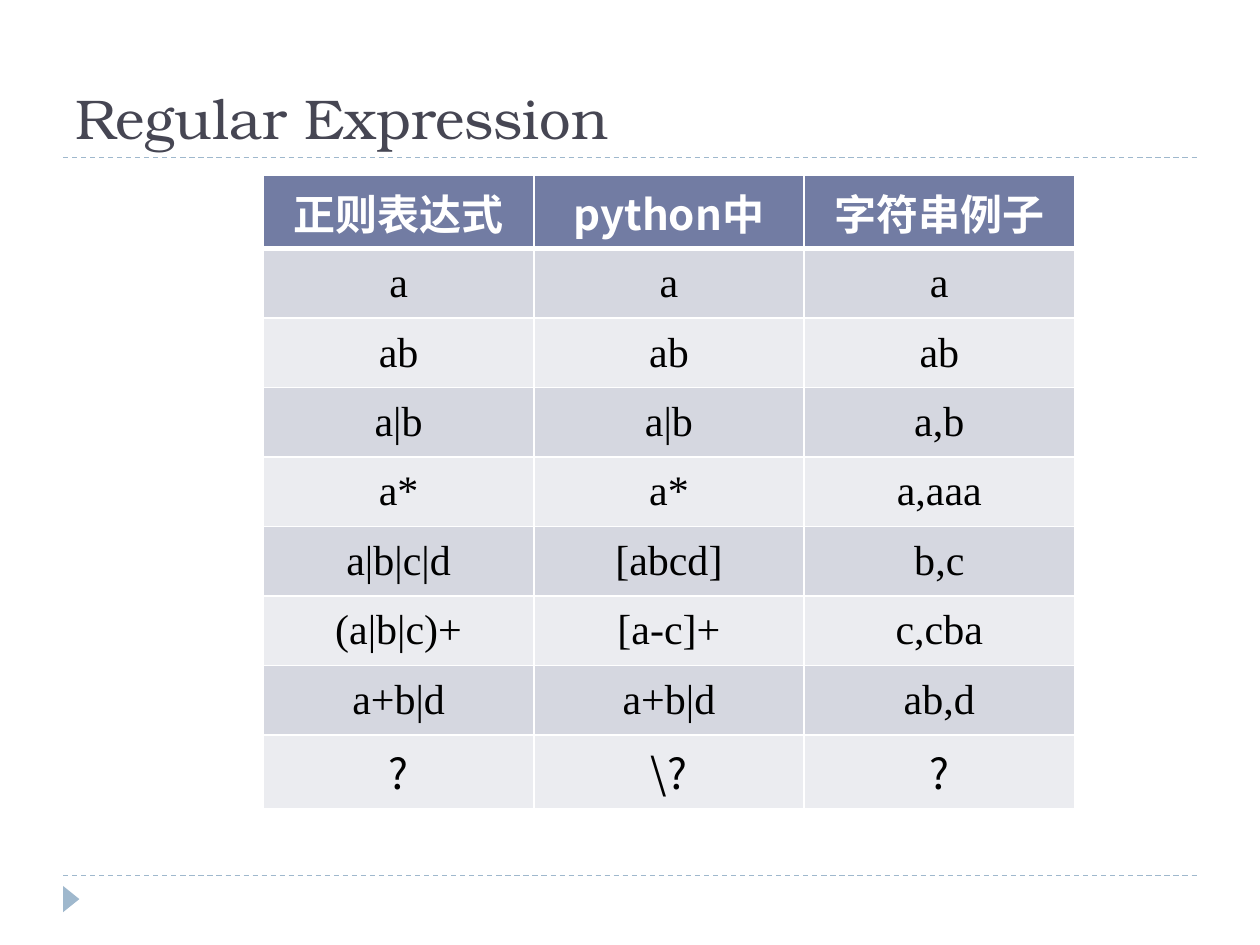
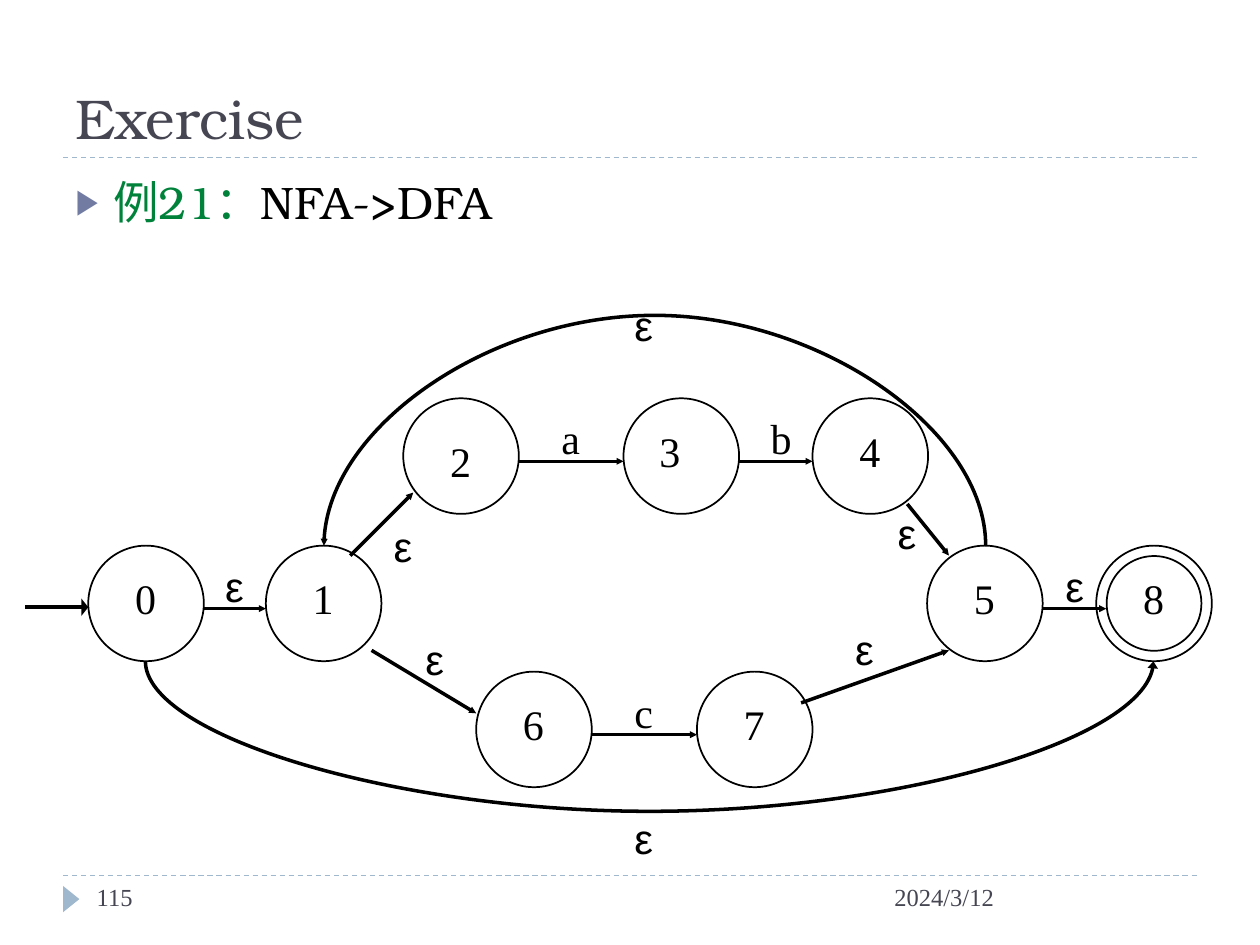
from dataclasses import dataclass
from itertools import product
from lxml.etree import SubElement
from pptx import Presentation
from pptx.dml.color import RGBColor
from pptx.enum.dml import MSO_LINE
from pptx.enum.shapes import MSO_CONNECTOR, MSO_SHAPE
from pptx.enum.text import MSO_ANCHOR, MSO_AUTO_SIZE, PP_ALIGN
from pptx.oxml.ns import qn
from pptx.util import Cm, Pt

BLACK = RGBColor(0x00, 0x00, 0x00)
WHITE = RGBColor(0xFF, 0xFF, 0xFF)
INK = RGBColor(0x46, 0x46, 0x53)
SKY = RGBColor(0x9F, 0xB8, 0xCD)
SLATE = RGBColor(0x72, 0x7C, 0xA3)
GREEN = RGBColor(0x00, 0x82, 0x3B)
BANDS = (RGBColor(0xEB, 0xEC, 0xF0), RGBColor(0xD5, 0xD7, 0xE0))

SERIF, ROMAN, SANS, HAN = "TeX Gyre Bonum", "Times New Roman", "Arial", "Noto Sans CJK SC"
TITLE = {"name": SERIF, "size": Pt(32)}
LIST = {"name": SERIF, "size": Pt(26)}
FOOT = {"name": ROMAN, "size": Pt(14)}
LABEL = {"name": ROMAN, "size": Pt(24), "bold": False}
GREEK = {**LABEL, "name": SANS}
HEAD = {"name": HAN, "size": Pt(24), "bold": True}
SIGN = {**HEAD, "bold": False}

ROWS = (
    ("正则表达式", "python中", "字符串例子"),
    ("a", "a", "a"),
    ("ab", "ab", "ab"),
    ("a|b", "a|b", "a,b"),
    ("a*", "a*", "a,aaa"),
    ("a|b|c|d", "[abcd]", "b,c"),
    ("(a|b|c)+", "[a-c]+", "c,cba"),
    ("a+b|d", "a+b|d", "ab,d"),
    ("?", "\\?", "?"),
)


@dataclass(frozen=True)
class State:
    name: str
    left: float
    top: float
    dx: float = 0.42
    dy: float = 0.42


@dataclass(frozen=True)
class Edge:
    start: tuple[float, float]
    end: tuple[float, float]
    wide: str = "sm"


@dataclass(frozen=True)
class Arc:
    mid: float
    level: float
    span: float
    flips: tuple[str, ...]
    bend: int
    wide: str


@dataclass(frozen=True)
class Mark:
    text: str
    left: float
    top: float


DIAM = 2.33
STATES = (
    State("0", 1.78, 11), State("1", 5.36, 11),
    State("2", 8.13, 8.03, dy=0.63), State("3", 12.57, 8.03, dx=0.2),
    State("4", 16.38, 8.03), State("5", 18.69, 11),
    State("6", 9.6, 13.54), State("7", 14.05, 13.54), State("8", 22.1, 11),
)
EDGES = (
    Edge((0.51, 12.24), (1.78, 12.24), "lg"),
    Edge((4.09, 12.27), (5.36, 12.27)),
    Edge((7.06, 11.2), (8.33, 9.93)),
    Edge((10.44, 9.3), (12.57, 9.3)),
    Edge((14.88, 9.3), (16.38, 9.3)),
    Edge((18.29, 10.16), (19.13, 11.2)),
    Edge((7.49, 13.11), (9.6, 14.38)),
    Edge((11.94, 14.81), (14.05, 14.81)),
    Edge((16.15, 14.17), (19.13, 13.11)),
    Edge((21.03, 12.27), (22.3, 12.27)),
)
ARCS = (
    Arc(13.09, 13.33, 20.32, ("flipH",), 75700000, "med"),
    Arc(13.2, 11, 13.34, ("flipH", "flipV"), -116000000, "sm"),
)
MARKS = (
    Mark("ε", 4.09, 11.18), Mark("ε", 7.49, 10.36), Mark("a", 10.87, 8.2),
    Mark("b", 15.11, 8.2), Mark("ε", 17.65, 10.11), Mark("ε", 8.13, 12.65),
    Mark("c", 12.34, 13.72), Mark("ε", 16.79, 12.45), Mark("ε", 21.03, 11.18),
    Mark("ε", 12.34, 5.92), Mark("ε", 12.34, 16.26),
)


def style(font, look: dict, tint: RGBColor) -> None:
    for key, value in look.items():
        setattr(font, key, value)
    font.color.rgb = tint


def place(shape, left: float, top: float, width: float, height: float) -> None:
    box = {"left": left, "top": top, "width": width, "height": height}
    for key, value in box.items():
        setattr(shape, key, Cm(value))


def write(slide, text: str, box: tuple, look: dict, tint=BLACK, align=PP_ALIGN.CENTER) -> None:
    frame = slide.shapes.add_textbox(*map(Cm, box)).text_frame
    frame.word_wrap = True
    para = frame.paragraphs[0]
    para.text, para.alignment = text, align
    style(para.font, look, tint)


def link(slide, start: tuple, end: tuple, tint=BLACK, width=2.0, kind=MSO_CONNECTOR.STRAIGHT):
    line = slide.shapes.add_connector(kind, *map(Cm, (*start, *end)))
    line.line.color.rgb, line.line.width = tint, Pt(width)
    SubElement(line._element.spPr, qn("a:effectLst"))
    return line


def point(line, wide: str) -> None:
    SubElement(line.line._get_or_add_ln(), qn("a:tailEnd"), type="triangle", w=wide, len="sm")


def ring(slide, left: float, top: float, size: float) -> None:
    oval = slide.shapes.add_shape(MSO_SHAPE.OVAL, *map(Cm, (left, top, size, size)))
    oval.shadow.inherit = False
    oval.fill.background()
    oval.line.color.rgb, oval.line.width = BLACK, Pt(1)


def curve(slide, arc: Arc) -> None:
    line = link(slide, (0, 0), (1, 1), kind=MSO_CONNECTOR.CURVE)
    place(line, arc.mid, arc.level - arc.span / 2, 0, arc.span)
    line.width = 1588
    props = line._element.spPr
    frame = props.find(qn("a:xfrm"))
    frame.set("rot", "16200000")
    for flip in arc.flips:
        frame.set(flip, "1")
    guides = props.find(qn("a:prstGeom")).find(qn("a:avLst"))
    SubElement(guides, qn("a:gd"), name="adj1", fmla=f"val {arc.bend}")
    point(line, arc.wide)


def start(deck, layout: int, text: str):
    slide = deck.slides.add_slide(deck.slide_layouts[layout])
    for level in (17.65, 3.18):
        link(slide, (1.27, level), (24.13, level), SKY, 0.75).line.dash_style = MSO_LINE.DASH
    wedge = slide.shapes.add_shape(MSO_SHAPE.ISOSCELES_TRIANGLE, *map(Cm, (1.17, 17.96, 0.53, 0.33)))
    wedge.rotation = 90
    wedge.shadow.inherit = False
    wedge.fill.solid()
    wedge.fill.fore_color.rgb = SKY
    wedge.line.fill.background()
    title = slide.shapes.title
    place(title, 1.27, 0.43, 22.86, 2.74)
    frame = title.text_frame
    frame.text = text
    frame.auto_size, frame.vertical_anchor = MSO_AUTO_SIZE.NONE, MSO_ANCHOR.BOTTOM
    frame.paragraphs[0].alignment = PP_ALIGN.LEFT
    style(frame.paragraphs[0].font, TITLE, INK)
    return slide


def edge(cell, side: str, width: float) -> None:
    line = SubElement(cell._tc.get_or_add_tcPr(), qn(f"a:ln{side}"), w=str(Pt(width)))
    SubElement(SubElement(line, qn("a:solidFill")), qn("a:srgbClr"), val=str(WHITE))


def regex(deck) -> None:
    slide = start(deck, 5, "Regular Expression")
    rows, cols = len(ROWS), len(ROWS[0])
    box = map(Cm, (5.31, 3.53, 5.45 * cols, 1.4 * rows))
    table = slide.shapes.add_table(rows, cols, *box).table
    for row, col in product(range(rows), range(cols)):
        cell, text = table.cell(row, col), ROWS[row][col]
        for side in "LRTB":
            thick = (row, side) in ((0, "B"), (1, "T"))
            edge(cell, side, 3 if thick else 1)
        cell.fill.solid()
        cell.fill.fore_color.rgb = BANDS[row % 2] if row else SLATE
        cell.vertical_anchor = MSO_ANCHOR.MIDDLE
        para = cell.text_frame.paragraphs[0]
        para.text, para.alignment = text, PP_ALIGN.CENTER
        look = SIGN if "?" in text else LABEL
        style(para.runs[0].font, look if row else HEAD, BLACK if row else WHITE)


def bullet(para) -> None:
    props = para._p.get_or_add_pPr()
    props.set("marL", str(Cm(0.76)))
    props.set("indent", str(Cm(-0.76)))
    SubElement(SubElement(props, qn("a:buClr")), qn("a:srgbClr"), val=str(SLATE))
    SubElement(props, qn("a:buSzPct"), val="76000")
    SubElement(props, qn("a:buFont"), typeface=SANS)
    SubElement(props, qn("a:buChar"), char="▶")


def drill(deck) -> None:
    slide = start(deck, 1, "Exercise")
    body = slide.placeholders[1]
    place(body, 1.27, 3.38, 22.86, 13.72)
    body.text_frame.auto_size = MSO_AUTO_SIZE.NONE
    para = body.text_frame.paragraphs[0]
    bullet(para)
    para.space_before = Pt(0)
    for text, tint in (("例21：", GREEN), ("NFA->DFA", BLACK)):
        run = para.add_run()
        run.text = text
        style(run.font, LIST, tint)
    for text, left, width in (("2024/3/12", 17.78, 6.35), ("115", 1.7, 5.51)):
        write(slide, text, (left, 17.65, width, 1.02), FOOT, INK, PP_ALIGN.LEFT)
    for state in STATES:
        ring(slide, state.left, state.top, DIAM)
        box = (state.left + state.dx, state.top + state.dy, 1.47, 1.27)
        write(slide, state.name, box, LABEL)
    final = STATES[-1]
    ring(slide, final.left + 0.21, final.top + 0.21, DIAM - 0.42)
    for item in EDGES:
        point(link(slide, item.start, item.end), item.wide)
    for arc in ARCS:
        curve(slide, arc)
    for mark in MARKS:
        look = GREEK if mark.text == "ε" else LABEL
        write(slide, mark.text, (mark.left, mark.top, 1.27, 1.27), look)


def main() -> None:
    deck = Presentation()
    deck.slide_width, deck.slide_height = Cm(25.4), Cm(19.05)
    regex(deck)
    drill(deck)
    deck.save("out.pptx")


if __name__ == "__main__":
    main()
